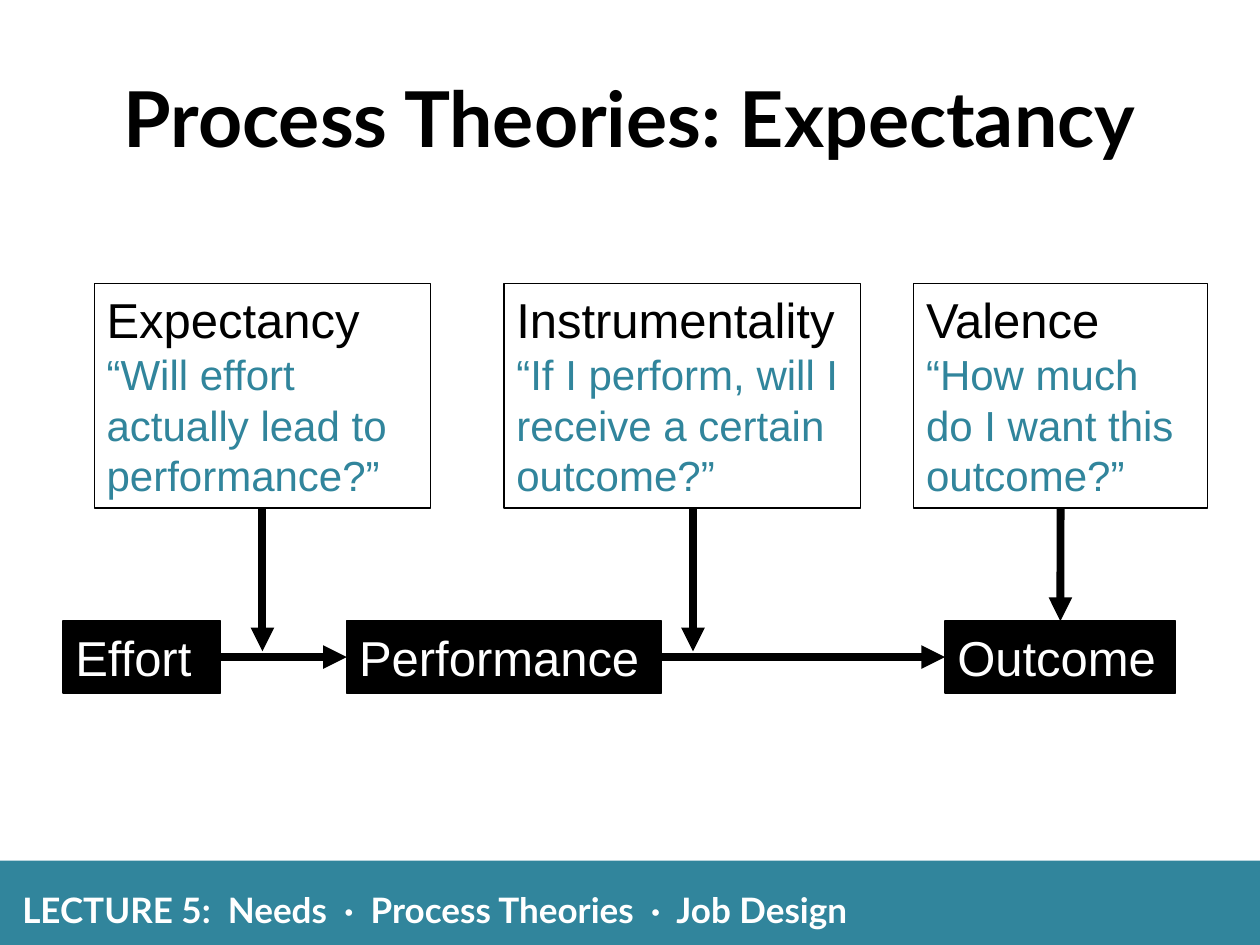
import pptx
import pptx.util
import pptx.dml.color
import pptx.enum.shapes
import pptx.enum.text
from lxml import etree

Cm, Pt = pptx.util.Cm, pptx.util.Pt
RGB = pptx.dml.color.RGBColor
RECT = pptx.enum.shapes.MSO_SHAPE.RECTANGLE
LINE = pptx.enum.shapes.MSO_CONNECTOR.STRAIGHT
ALIGN = pptx.enum.text.PP_ALIGN
ANCHOR = pptx.enum.text.MSO_ANCHOR

BLACK = RGB(0, 0, 0)
WHITE = RGB(255, 255, 255)
TEAL = RGB(0x31, 0x85, 0x9C)

# Content: lengths in cm
TITLE = "Process Theories: Expectancy"
FOOTER = "LECTURE 5:  Needs  ∙  Process Theories  ∙  Job Design"
STEPS = [  # name, left, width
    ("Effort", 1.27, 3.18),
    ("Performance", 6.99, 6.35),
    ("Outcome", 19.05, 4.65),
]
ASKS = [  # name, question, left, width
    ("Expectancy", "“Will effort actually lead to performance?”", 1.9, 6.78),
    ("Instrumentality", "“If I perform, will I receive a certain outcome?”", 10.16, 7.19),
    ("Valence", "“How much do I want this outcome?”", 18.42, 5.92),
]
STEP_TOP, STEP_H = 12.52, 1.45
ASK_TOP, ASK_H = 5.72, 4.52
TIP = 13.13  # where arrows stop just above the flow line

deck = pptx.Presentation()
deck.slide_width, deck.slide_height = Cm(25.4), Cm(19.05)
slide = deck.slides.add_slide(deck.slide_layouts[6])
shapes = slide.shapes


def write(shape, rows, face, bold=False, align=ALIGN.LEFT, anchor=ANCHOR.TOP):
    frame = shape.text_frame
    frame.word_wrap = True
    frame.vertical_anchor = anchor
    for i, (text, size, color) in enumerate(rows):
        para = frame.add_paragraph() if i else frame.paragraphs[0]
        para.text = text
        para.alignment = align
        font = para.font
        font.name, font.size, font.bold = face, Pt(size), bold
        font.color.rgb = color


def box(left, top, width, height, fill, edge=None):
    shape = shapes.add_shape(RECT, Cm(left), Cm(top), Cm(width), Cm(height))
    shape.shadow.inherit = False
    shape.fill.solid()
    shape.fill.fore_color.rgb = fill
    if edge is None:
        shape.line.fill.background()
    else:
        shape.line.color.rgb = edge
        shape.line.width = Pt(0.75)
    return shape


def label(left, top, width, height, *args, **style):
    area = shapes.add_textbox(Cm(left), Cm(top), Cm(width), Cm(height))
    write(area, *args, **style)


def arrow(x1, y1, x2, y2):
    link = shapes.add_connector(LINE, Cm(x1), Cm(y1), Cm(x2), Cm(y2))
    link.line.color.rgb = BLACK
    link.line.width = Pt(4.5)
    ns = pptx.oxml.ns.qn
    etree.SubElement(link.line._get_or_add_ln(), ns("a:tailEnd"), type="triangle")
    etree.SubElement(link._element.spPr, ns("a:effectLst"))
    return link


# Footer band and title
box(0, 17.35, 25.4, 1.7, TEAL)
label(1.27, 0.76, 22.86, 3.18, [(TITLE, 44, BLACK)], "Lato",
      bold=True, align=ALIGN.CENTER, anchor=ANCHOR.MIDDLE)

# Steps of the flow
steps = []
for name, left, width in STEPS:
    step = box(left, STEP_TOP, width, STEP_H, BLACK, BLACK)
    write(step, [(name, 28, WHITE)], "Arial")
    steps.append(step)

# Questions above the flow
asks = []
for name, quote, left, width in ASKS:
    ask = box(left, ASK_TOP, width, ASK_H, WHITE, BLACK)
    write(ask, [(name, 28, BLACK), (quote, 24, TEAL)], "Arial")
    asks.append(ask)

# Arrows along the flow
for start, end in zip(steps, steps[1:]):
    link = arrow(0, 0, 1, 1)
    link.begin_connect(start, 3)
    link.end_connect(end, 1)

# Arrows down from the questions
low = ASK_TOP + ASK_H
mid = ASKS[0][2] + ASKS[0][3] / 2
arrow(mid, low, mid, TIP).begin_connect(asks[0], 2)
arrow(13.97, low, 13.97, TIP)
link = arrow(0, 0, 1, 1)
link.begin_connect(asks[2], 2)
link.end_connect(steps[2], 0)

# Footer text
label(0.2, 17.78, 24.97, 1.12, [(FOOTER, 20, WHITE)], "Lato", bold=True)

deck.save("out.pptx")
